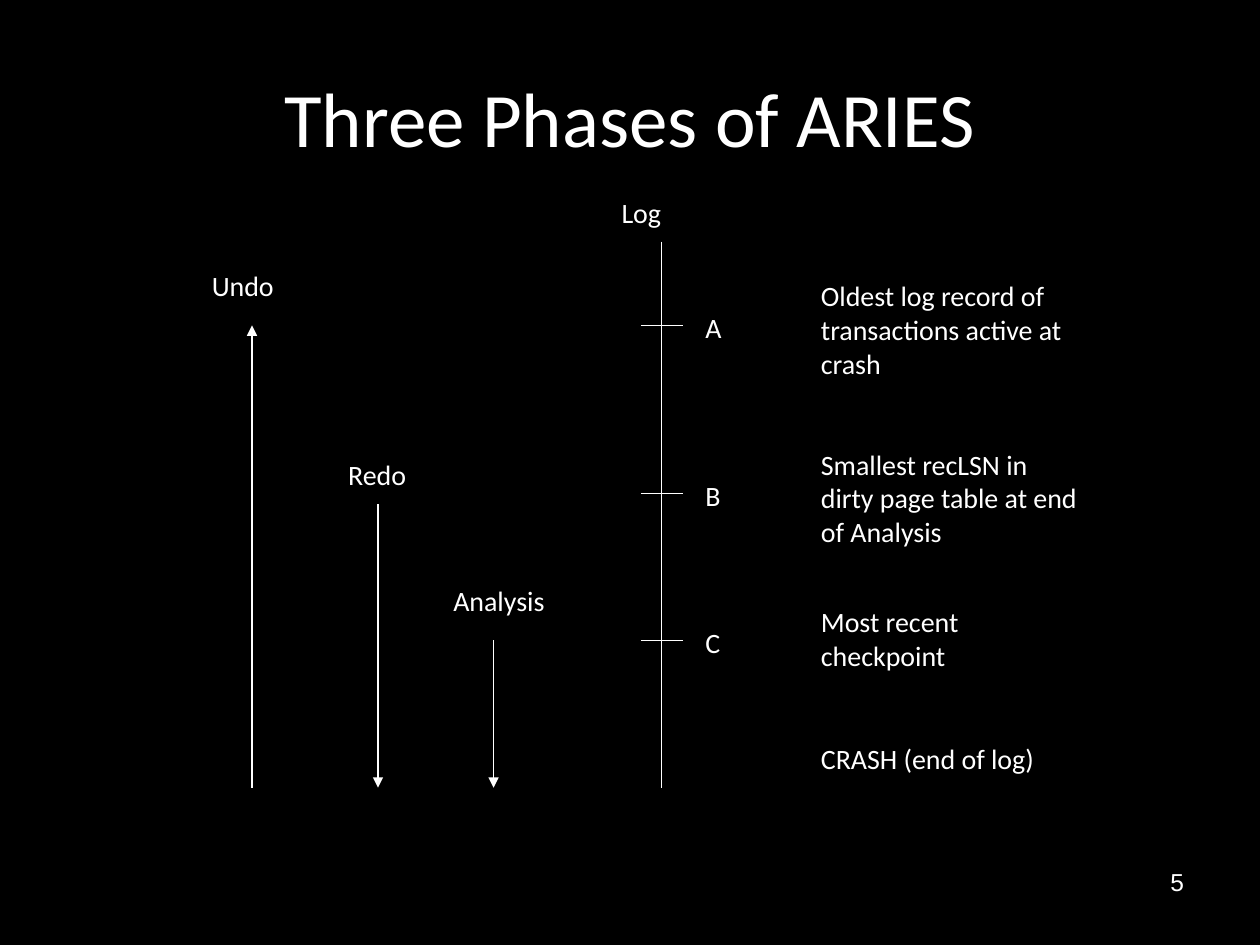
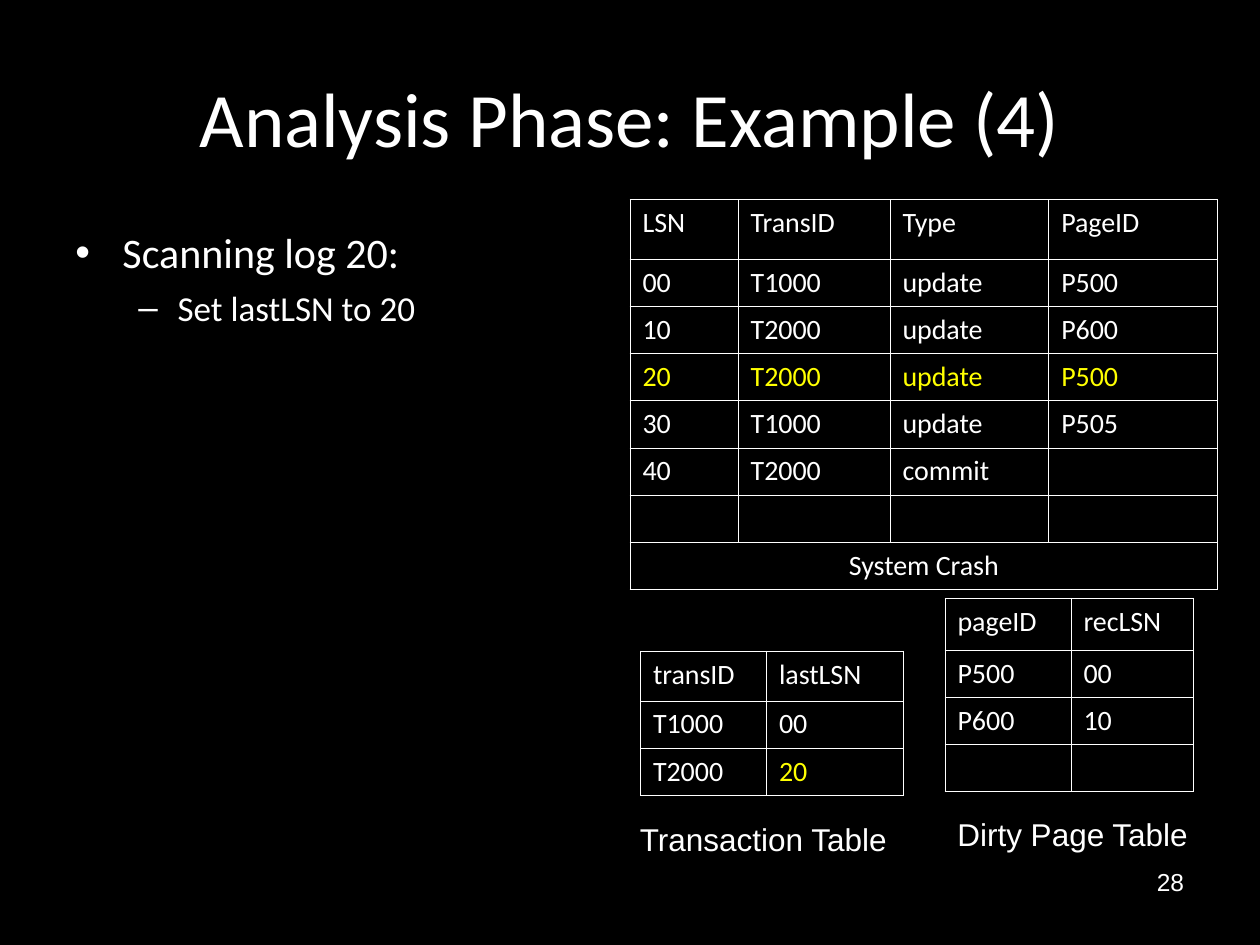
"""Build two slides on the ARIES recovery phases."""
from dataclasses import dataclass
from lxml import etree
from pptx import Presentation
from pptx import util as u
from pptx.dml.color import RGBColor
from pptx.enum import shapes, text
from pptx.oxml.ns import qn

WHITE, BLACK, GOLD = "FFFFFF", "000000", "FFFF00"
SANS, PLAIN = "Calibri", "Arial"
LEFT, MID, RIGHT = text.PP_ALIGN.LEFT, text.PP_ALIGN.CENTER, text.PP_ALIGN.RIGHT
LINE_H = 0.94
ROW_H = 0.95
LOG_X, LOG_TOP, LOG_END = 13.34, 4.87, 15.88
TICK = 0.42


@dataclass(frozen=True)
class Mark:
    """A labelled tick on the log axis."""
    name: str
    y: float


@dataclass(frozen=True)
class Note:
    """A remark to the right of the log axis."""
    words: str
    y: float
    high: float


@dataclass(frozen=True)
class Phase:
    """A recovery phase: its label and the arrow below it."""
    name: str
    left: float
    top: float
    x: float
    start: float
    up: bool = False


@dataclass(frozen=True)
class Grid:
    """A table with its place, column widths, rows and lit cells."""
    left: float
    top: float
    cols: tuple[float, ...]
    head: float
    rows: tuple[str, ...]
    lit: tuple[tuple[int, int], ...] = ()


@dataclass(frozen=True)
class Bullet:
    """A list level: sign, indents, size and gap above."""
    sign: str
    left: float
    hang: float
    size: int
    gap: int


MARKS = (Mark("A", 6.56), Mark("B", 9.95), Mark("C", 12.91))
NOTES = (
    Note("Oldest log record of transactions active at crash", 5.5, 2.3),
    Note("Smallest recLSN in dirty page table at end of Analysis", 8.89, 2.3),
    Note("Most recent checkpoint", 12.07, 1.62),
    Note("CRASH (end of log)", 14.82, LINE_H),
)
PHASES = (
    Phase("Undo", 4.02, 5.29, 5.08, 6.56, up=True),
    Phase("Redo", 6.77, 9.1, 7.62, 10.16),
    Phase("Analysis", 8.89, 11.64, 9.95, 12.91),
)
GRIDS = (
    Grid(12.7, 4.02, (2.18, 3.06, 3.2, 3.41), 1.21, (
        "LSN|TransID|Type|PageID",
        "00|T1000|update|P500",
        "10|T2000|update|P600",
        "20|T2000|update|P500",
        "30|T1000|update|P505",
        "40|T2000|commit|",
        "|||",
        "System Crash",
    ), tuple((3, col) for col in range(4))),
    Grid(19.05, 12.06, (2.54, 2.46), 1.05,
         ("pageID|recLSN", "P500|00", "P600|10", "|")),
    Grid(12.91, 13.13, (2.54, 2.76), 1.0,
         ("transID|lastLSN", "T1000|00", "T2000|20"), ((2, 1),)),
)
STEPS = (
    ("Scanning log 20:", Bullet("•", 0.95, 0.95, 24, 0)),
    ("Set lastLSN to 20", Bullet("–", 2.06, 0.79, 20, 5)),
)


def tint(code: str) -> RGBColor:
    """Turn a hex string into a colour."""
    return RGBColor.from_string(code)


def write(par, words: str, *, size=16, font=SANS, color=WHITE, align=LEFT) -> None:
    """Put formatted words into a paragraph."""
    par.alignment = align
    if not words:
        etree.SubElement(par._p, qn("a:endParaRPr"), sz=str(size * 100))
        return
    run = par.add_run()
    run.text = words
    run.font.size = u.Pt(size)
    run.font.name = font
    run.font.bold = False
    run.font.color.rgb = tint(color)


def place(shape, left: float, top: float, wide: float, high: float) -> None:
    """Move and size a shape."""
    shape.left, shape.top = u.Cm(left), u.Cm(top)
    shape.width, shape.height = u.Cm(wide), u.Cm(high)


def label(slide, words: str, left: float, top: float, wide: float,
          high: float = LINE_H, wrap: bool = True, **fmt) -> None:
    """Add a text box with one paragraph."""
    box = slide.shapes.add_textbox(u.Cm(left), u.Cm(top), u.Cm(wide), u.Cm(high))
    box.text_frame.word_wrap = wrap
    write(box.text_frame.paragraphs[0], words, **fmt)


def line(slide, x: float, y: float, to_x: float, to_y: float, tip: bool = False) -> None:
    """Draw a thin line, with an arrowhead at its end if asked."""
    link = slide.shapes.add_connector(
        shapes.MSO_CONNECTOR.STRAIGHT, u.Cm(x), u.Cm(y), u.Cm(to_x), u.Cm(to_y))
    link.line.color.rgb = tint(WHITE)
    link.line.width = u.Pt(0.75)
    if tip:
        etree.SubElement(link.line._get_or_add_ln(), qn("a:tailEnd"), type="triangle")
    etree.SubElement(link._element.spPr, qn("a:effectLst"))


def border(cell) -> None:
    """Rule all four sides of a cell."""
    props = cell._tc.get_or_add_tcPr()
    for side in ("lnL", "lnR", "lnT", "lnB"):
        edge = etree.SubElement(props, qn(f"a:{side}"), w=str(u.Pt(0.45)))
        fill = etree.SubElement(edge, qn("a:solidFill"))
        etree.SubElement(fill, qn("a:srgbClr"), val=WHITE)


def draw_grid(slide, grid: Grid) -> None:
    """Draw a table; a row of one text spans all columns."""
    count = len(grid.cols)
    highs = [grid.head] + [ROW_H] * (len(grid.rows) - 1)
    table = slide.shapes.add_table(
        len(highs), count, u.Cm(grid.left), u.Cm(grid.top),
        u.Cm(sum(grid.cols)), u.Cm(sum(highs))).table
    table.first_row = table.horz_banding = False
    for col, wide in zip(table.columns, grid.cols):
        col.width = u.Cm(wide)
    for row, (high, words) in enumerate(zip(highs, grid.rows)):
        table.rows[row].height = u.Cm(high)
        parts = words.split("|")
        span = len(parts) == 1
        for col in range(count):
            cell = table.cell(row, col)
            border(cell)
            cell.fill.background()
            if col < len(parts):
                write(cell.text_frame.paragraphs[0], parts[col],
                      color=GOLD if (row, col) in grid.lit else WHITE,
                      align=MID if span else LEFT)
        if span:
            table.cell(row, 0).merge(table.cell(row, count - 1))


def draw_steps(slide) -> None:
    """Add the bulleted list."""
    box = slide.shapes.add_textbox(u.Cm(1.27), u.Cm(4.45), u.Cm(10.36), u.Cm(12.57))
    frame = box.text_frame
    frame.word_wrap = True
    for i, (words, kind) in enumerate(STEPS):
        par = frame.add_paragraph() if i else frame.paragraphs[0]
        par.level = i
        props = par._p.get_or_add_pPr()
        props.set("marL", str(u.Cm(kind.left)))
        props.set("indent", str(-u.Cm(kind.hang)))
        etree.SubElement(props, qn("a:buFont"), typeface=PLAIN)
        etree.SubElement(props, qn("a:buChar"), char=kind.sign)
        if kind.gap:
            par.space_before = u.Pt(kind.gap)
        write(par, words, size=kind.size)


def start(deck, title: str, number: int):
    """Add a slide with its title and page number."""
    slide = deck.slides.add_slide(deck.slide_layouts[5])
    head = slide.shapes.title
    place(head, 1.27, 0.76, 22.86, 3.18)
    head.text_frame.vertical_anchor = text.MSO_ANCHOR.MIDDLE
    write(head.text_frame.paragraphs[0], title, size=44, align=MID)
    label(slide, str(number), 18.2, 17.35, 5.92, 1.32, size=14, font=PLAIN, align=RIGHT)
    return slide


def phases(deck) -> None:
    """Build the slide of the three phases along the log."""
    slide = start(deck, "Three Phases of ARIES", 5)
    for note in NOTES:
        label(slide, note.words, 16.3, note.y, 5.72, note.high)
    label(slide, "Log", 12.28, 3.81, 1.48)
    line(slide, LOG_X, LOG_TOP, LOG_X, LOG_END)
    for mark in MARKS:
        label(slide, mark.name, 13.97, mark.y - TICK, 1.48)
        line(slide, LOG_X - TICK, mark.y, LOG_X + TICK, mark.y)
    for phase in PHASES:
        label(slide, phase.name, phase.left, phase.top, 2.96)
        ends = (LOG_END, phase.start) if phase.up else (phase.start, LOG_END)
        line(slide, phase.x, ends[0], phase.x, ends[1], tip=True)


def sample(deck) -> None:
    """Build the slide of the analysis example."""
    slide = start(deck, "Analysis Phase: Example (4)", 28)
    draw_steps(slide)
    for grid in GRIDS:
        draw_grid(slide, grid)
    label(slide, "Transaction Table", 12.65, 16.4, 5.59, 1.02, wrap=False,
          size=18, font=PLAIN)
    label(slide, "Dirty Page Table", 19.05, 16.3, 5.51, 1.02, size=18, font=PLAIN)


def main() -> None:
    """Build and save the deck."""
    deck = Presentation()
    deck.slide_width, deck.slide_height = u.Cm(25.4), u.Cm(19.05)
    back = deck.slide_master.background.fill
    back.solid()
    back.fore_color.rgb = tint(BLACK)
    phases(deck)
    sample(deck)
    deck.save("out.pptx")


if __name__ == "__main__":
    main()
